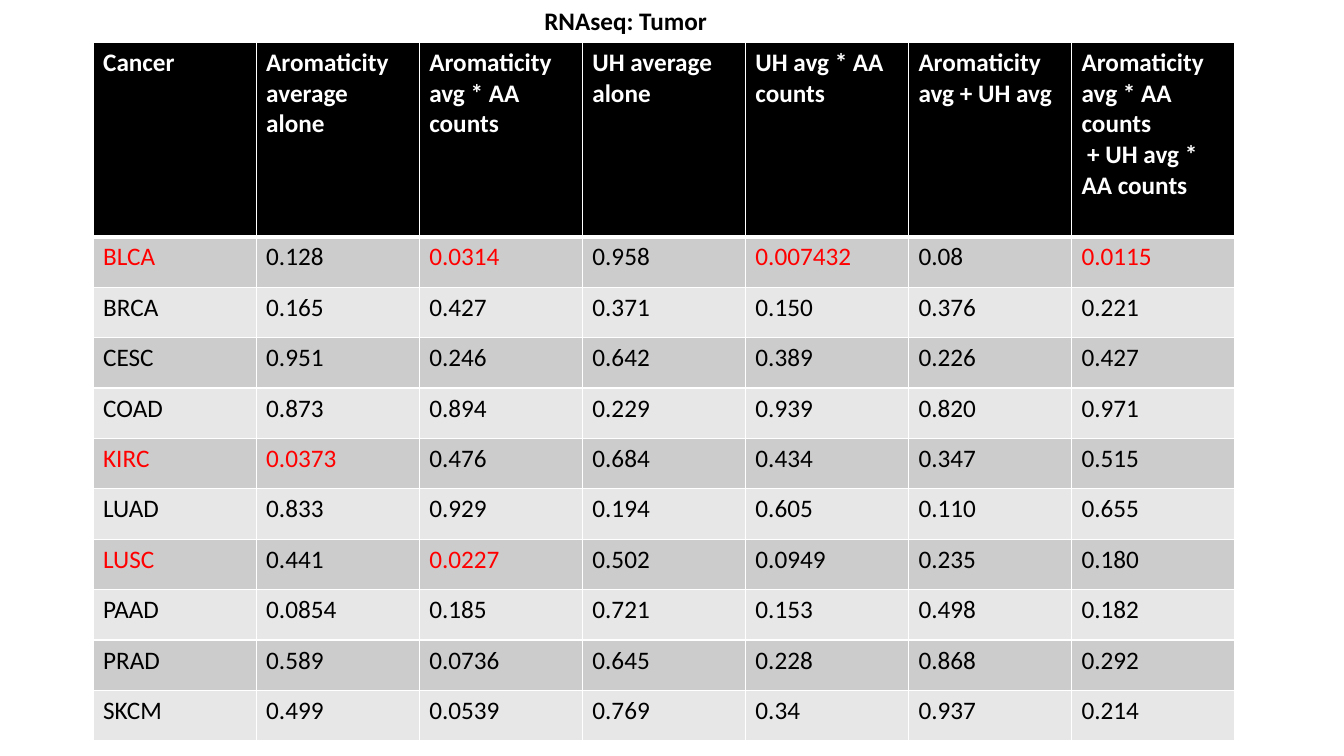
import pptx
import pptx.util
import pptx.dml.color
import pptx.enum.text
import pptx.oxml
import pptx.oxml.ns

Pt = pptx.util.Pt

# Content
TITLE = "RNAseq: Tumor"
HEADERS = [
    "Cancer",
    "Aromaticity average alone",
    "Aromaticity avg * AA counts",
    "UH average alone",
    "UH avg * AA counts",
    "Aromaticity avg + UH avg",
    "Aromaticity avg * AA counts\n + UH avg * AA counts",
]
P_VALUES = [
    ("BLCA", "0.128", "0.0314", "0.958", "0.007432", "0.08", "0.0115"),
    ("BRCA", "0.165", "0.427", "0.371", "0.150", "0.376", "0.221"),
    ("CESC", "0.951", "0.246", "0.642", "0.389", "0.226", "0.427"),
    ("COAD", "0.873", "0.894", "0.229", "0.939", "0.820", "0.971"),
    ("KIRC", "0.0373", "0.476", "0.684", "0.434", "0.347", "0.515"),
    ("LUAD", "0.833", "0.929", "0.194", "0.605", "0.110", "0.655"),
    ("LUSC", "0.441", "0.0227", "0.502", "0.0949", "0.235", "0.180"),
    ("PAAD", "0.0854", "0.185", "0.721", "0.153", "0.498", "0.182"),
    ("PRAD", "0.589", "0.0736", "0.645", "0.228", "0.868", "0.292"),
    ("SKCM", "0.499", "0.0539", "0.769", "0.34", "0.937", "0.214"),
]
SIGNIFICANCE = 0.05

# Format and layout
COLORS = {
    "header": "000000",
    "odd": "CCCCCC",
    "even": "E7E7E7",
    "text": "000000",
    "header_text": "FFFFFF",
    "significant": "FF0000",
    "border": "FFFFFF",
}
FONT = {"name": "Calibri", "size": Pt(18)}
TITLE_BOX = {"left": Pt(381.6), "top": Pt(0), "width": Pt(132), "height": Pt(29)}
TITLE_FRAME = {
    "word_wrap": False,
    "auto_size": pptx.enum.text.MSO_AUTO_SIZE.NONE,
    "vertical_anchor": pptx.enum.text.MSO_ANCHOR.TOP,
}
TABLE_LEFT, TABLE_TOP = 66.5, 30.2
COLUMN_WIDTH, HEADER_HEIGHT, ROW_HEIGHT = 116.5, 139, 36


def color(name):
    return pptx.dml.color.RGBColor.from_string(COLORS[name])


def set_attributes(target, values):
    for name, value in values.items():
        setattr(target, name, value)


def format_text(frame, color_name, bold):
    for paragraph in frame.paragraphs:
        for run in paragraph.runs:
            set_attributes(run.font, {**FONT, "bold": bold})
            run.font.color.rgb = color(color_name)


def set_borders(cell, widths):
    """Draw the cell's edges; the lines precede the fill in the cell's XML."""
    properties = cell._tc.get_or_add_tcPr()
    for position, (edge, width) in enumerate(widths.items()):
        properties.insert(position, pptx.oxml.parse_xml(
            f'<a:{edge} {pptx.oxml.ns.nsdecls("a")} w="{Pt(width)}">'
            f'<a:solidFill><a:srgbClr val="{COLORS["border"]}"/></a:solidFill>'
            f'</a:{edge}>'))


def fill_cell(cell, text, fill_name, text_color, bold, top, bottom):
    cell.text = text
    cell.fill.solid()
    cell.fill.fore_color.rgb = color(fill_name)
    format_text(cell.text_frame, text_color, bold)
    set_borders(cell, {"lnL": 1, "lnR": 1, "lnT": top, "lnB": bottom})


def is_significant(value):
    return float(value) < SIGNIFICANCE


def main():
    presentation = pptx.Presentation()
    set_attributes(presentation, {"slide_width": Pt(960), "slide_height": Pt(540)})
    slide = presentation.slides.add_slide(presentation.slide_layouts[5])

    # Title
    title = slide.shapes.title
    set_attributes(title, TITLE_BOX)
    title.text = TITLE
    set_attributes(title.text_frame, TITLE_FRAME)
    title.text_frame.paragraphs[0].alignment = pptx.enum.text.PP_ALIGN.LEFT
    format_text(title.text_frame, "text", True)

    # Table grid
    row_count, column_count = len(P_VALUES) + 1, len(HEADERS)
    table = slide.shapes.add_table(
        row_count, column_count, Pt(TABLE_LEFT), Pt(TABLE_TOP),
        Pt(COLUMN_WIDTH * column_count),
        Pt(HEADER_HEIGHT + ROW_HEIGHT * len(P_VALUES))).table
    for column in table.columns:
        column.width = Pt(COLUMN_WIDTH)
    for index, row in enumerate(table.rows):
        row.height = Pt(ROW_HEIGHT if index else HEADER_HEIGHT)

    # Header row
    for index, header in enumerate(HEADERS):
        fill_cell(table.cell(0, index), header, "header", "header_text", True, 1, 3)

    # Significant values, and the cancers that have any, are red
    for row_index, (cancer, *values) in enumerate(P_VALUES, start=1):
        flags = [is_significant(value) for value in values]
        fill_name = "odd" if row_index % 2 else "even"
        top = 3 if row_index == 1 else 1
        for column_index, (text, flag) in enumerate(
                zip([cancer, *values], [any(flags), *flags])):
            fill_cell(table.cell(row_index, column_index), text, fill_name,
                      "significant" if flag else "text", False, top, 1)

    presentation.save("out.pptx")


if __name__ == "__main__":
    main()
